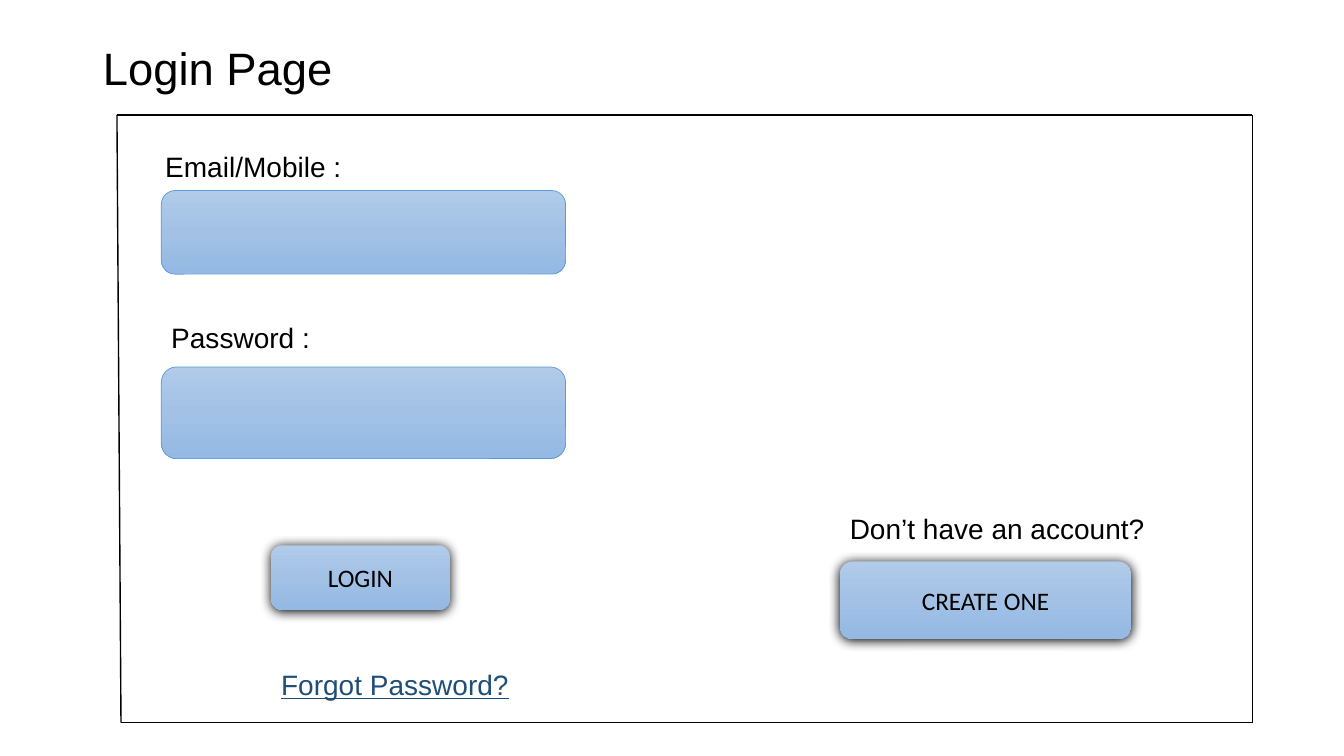
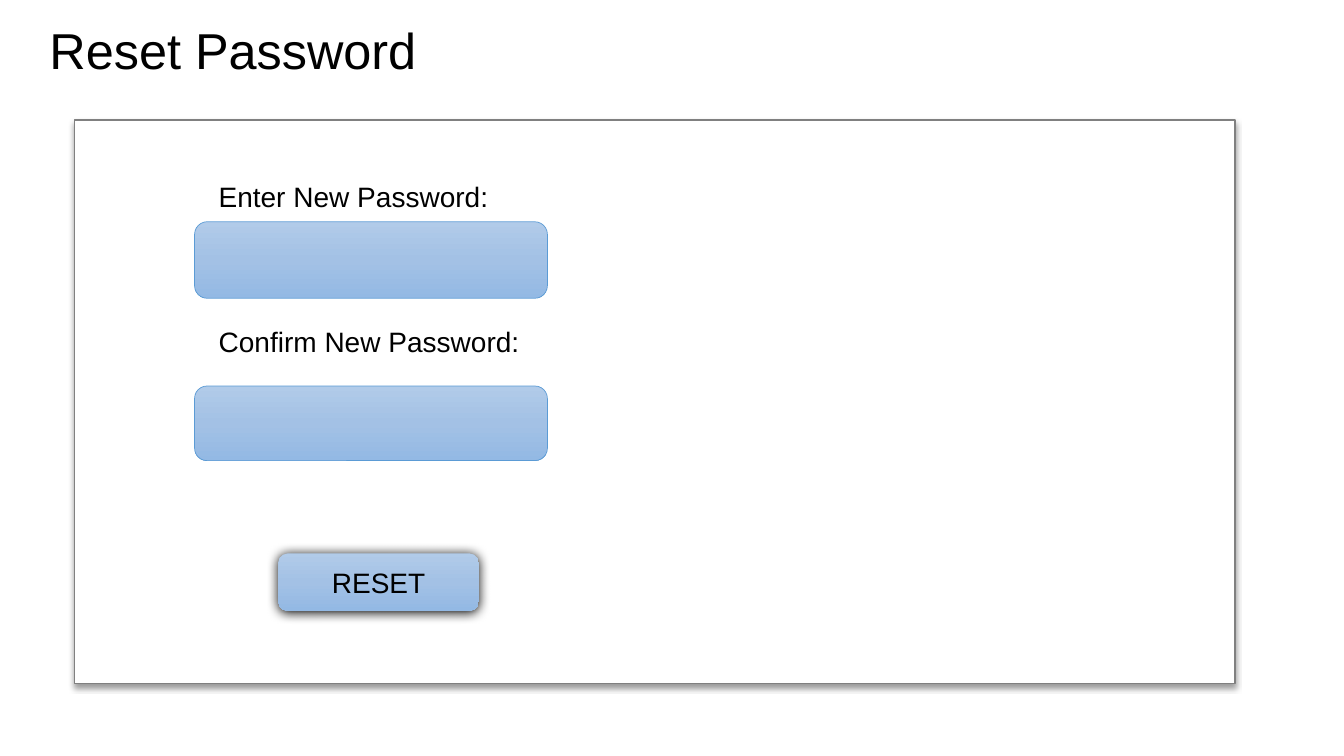
from copy import deepcopy
from dataclasses import dataclass
from itertools import pairwise

from lxml.etree import SubElement
from pptx import Presentation
from pptx.dml.color import RGBColor
from pptx.enum.shapes import MSO_CONNECTOR, MSO_SHAPE
from pptx.enum.text import MSO_ANCHOR, MSO_AUTO_SIZE, PP_ALIGN
from pptx.oxml.ns import qn
from pptx.util import Inches, Pt


@dataclass(frozen=True)
class Theme:
    black: str = "000000"
    white: str = "FFFFFF"
    gray: str = "808080"
    edge: str = "5B9BD5"
    link: str = "1F4E79"
    blues: tuple = ("B1CBE9", "A3C1E5", "93B9E4")
    font: str = "Arial"
    button: str = "Calibri"
    label: float = 20
    small: float = 18


@dataclass(frozen=True)
class Box:
    left: float
    top: float
    width: float
    height: float

    def inner(self, left, top, width, height):
        """Return a box whose place is given from this box's corner."""
        return Box(self.left + left, self.top + top, width, height)

    def emu(self):
        return [Inches(v) for v in (self.left, self.top, self.width, self.height)]


THEME = Theme()


def color(code):
    return RGBColor.from_string(code)


def write(frame, text, size, font=THEME.font, ink=THEME.black, align=PP_ALIGN.LEFT):
    para = frame.paragraphs[0]
    para.alignment = align
    run = para.add_run()
    run.text = text
    run.font.size = Pt(size)
    run.font.name = font
    run.font.color.rgb = color(ink)
    return run


def add_title(slide, box, text, size, anchor, spacing):
    title = slide.shapes.title
    title.left, title.top, title.width, title.height = box.emu()
    frame = title.text_frame
    frame.auto_size = MSO_AUTO_SIZE.NONE
    frame.word_wrap = True
    frame.vertical_anchor = anchor
    write(frame, text, size)
    frame.paragraphs[0].line_spacing = spacing


def add_label(slide, box, text, ink=THEME.black):
    frame = slide.shapes.add_textbox(*box.emu()).text_frame
    frame.word_wrap = True
    frame.auto_size = MSO_AUTO_SIZE.SHAPE_TO_FIT_TEXT
    return write(frame, text, THEME.label, ink=ink)


def add_shadow(shape, alpha, blur, dist):
    """Cast a black shadow downward; alpha in percent, lengths in points."""
    effects = shape.element.spPr.find(qn("a:effectLst"))
    shadow = SubElement(effects, qn("a:outerShdw"), blurRad=str(Pt(blur)),
                        dist=str(Pt(dist)), dir="5400000", algn="ctr",
                        rotWithShape="0")
    ink = SubElement(shadow, qn("a:srgbClr"), val=THEME.black)
    SubElement(ink, qn("a:alpha"), val=str(alpha * 1000))


def add_plate(slide, box):
    """Add the rounded blue shape shared by fields and buttons."""
    plate = slide.shapes.add_shape(MSO_SHAPE.ROUNDED_RECTANGLE, *box.emu())
    plate.shadow.inherit = False
    plate.fill.gradient()
    plate.fill.gradient_angle = 270
    stops = plate.element.spPr.find(qn("a:gradFill")).find(qn("a:gsLst"))
    middle = deepcopy(stops[0])
    middle.set("pos", "50000")
    stops.insert(1, middle)
    for stop, blue in zip(plate.fill.gradient_stops, THEME.blues):
        stop.color.rgb = color(blue)
    return plate


def add_field(slide, box):
    field = add_plate(slide, box)
    field.line.color.rgb = color(THEME.edge)
    field.line.width = Pt(0.5)


def add_button(slide, box, text, size, font):
    button = add_plate(slide, box)
    button.line.fill.background()
    add_shadow(button, 100, 8.5, 1)
    button.text_frame.vertical_anchor = MSO_ANCHOR.MIDDLE
    write(button.text_frame, text, size, font, align=PP_ALIGN.CENTER)


def add_outline(slide, box, slant):
    """Draw four lines; the lower left corner moves in by slant."""
    right, bottom = box.left + box.width, box.top + box.height
    corners = [(box.left, box.top), (right, box.top), (right, bottom),
               (box.left + slant, bottom), (box.left, box.top)]
    for start, end in pairwise(corners):
        ends = [Inches(v) for v in start + end]
        line = slide.shapes.add_connector(MSO_CONNECTOR.STRAIGHT, *ends)
        line.line.color.rgb = color(THEME.black)
        line.line.width = Pt(1)
        SubElement(line.element.spPr, qn("a:effectLst"))


def add_panel(slide, box):
    panel = slide.shapes.add_shape(MSO_SHAPE.RECTANGLE, *box.emu())
    panel.shadow.inherit = False
    panel.fill.solid()
    panel.fill.fore_color.rgb = color(THEME.white)
    panel.line.color.rgb = color(THEME.gray)
    panel.line.width = Pt(1)
    add_shadow(panel, 40, 4, 3)


def login_form(slide, box):
    add_outline(slide, box, 0.04)
    add_label(slide, box.inner(0.38, 0.29, 2.8, 0.44), "Email/Mobile :")
    add_field(slide, box.inner(0.44, 0.75, 4.01, 0.83))
    add_label(slide, box.inner(0.44, 1.99, 2.23, 0.44), "Password :")
    add_field(slide, box.inner(0.44, 2.5, 4.01, 0.91))
    add_button(slide, box.inner(1.53, 4.27, 1.77, 0.64), "LOGIN",
               THEME.small, THEME.button)
    forgot = add_label(slide, box.inner(1.53, 5.43, 2.74, 0.44),
                       "Forgot Password?", THEME.link)
    forgot.font.underline = True


def signup(slide, box):
    add_label(slide, box.inner(0, 0, 3.37, 0.44), "Don’t have an account?")
    add_button(slide, box.inner(0, 0.54, 2.89, 0.77), "CREATE ONE",
               THEME.small, THEME.button)


def reset_form(slide, box):
    add_panel(slide, box)
    rows = [("Enter New Password:", 0.54, 1.01, 0.76),
            ("Confirm New Password:", 1.98, 2.64, 0.74)]
    for text, top, field, height in rows:
        add_label(slide, box.inner(1.33, top, 3.24, 0.44), text)
        add_field(slide, box.inner(1.19, field, 3.5, height))
    add_button(slide, box.inner(2.02, 4.3, 1.99, 0.57), "RESET",
               THEME.label, THEME.font)


def login_slide(slide):
    add_title(slide, Box(0.92, 0.4, 11.5, 0.6), "Login Page", 32.4,
              MSO_ANCHOR.MIDDLE, 0.9)
    panel = Box(1.16, 1.14, 11.26, 6.03)
    login_form(slide, panel)
    signup(slide, panel.inner(7.17, 3.89, 3.37, 1.31))


def reset_slide(slide):
    add_title(slide, Box(0.39, 0.14, 8.61, 0.71), "Reset Password", 36,
              MSO_ANCHOR.TOP, 1.0)
    reset_form(slide, Box(0.74, 1.19, 11.51, 5.59))


def main():
    deck = Presentation()
    deck.slide_width, deck.slide_height = Inches(13.33), Inches(7.5)
    layout = deck.slide_layouts.get_by_name("Title Only")
    for build in (login_slide, reset_slide):
        build(deck.slides.add_slide(layout))
    deck.save("out.pptx")


if __name__ == "__main__":
    main()
